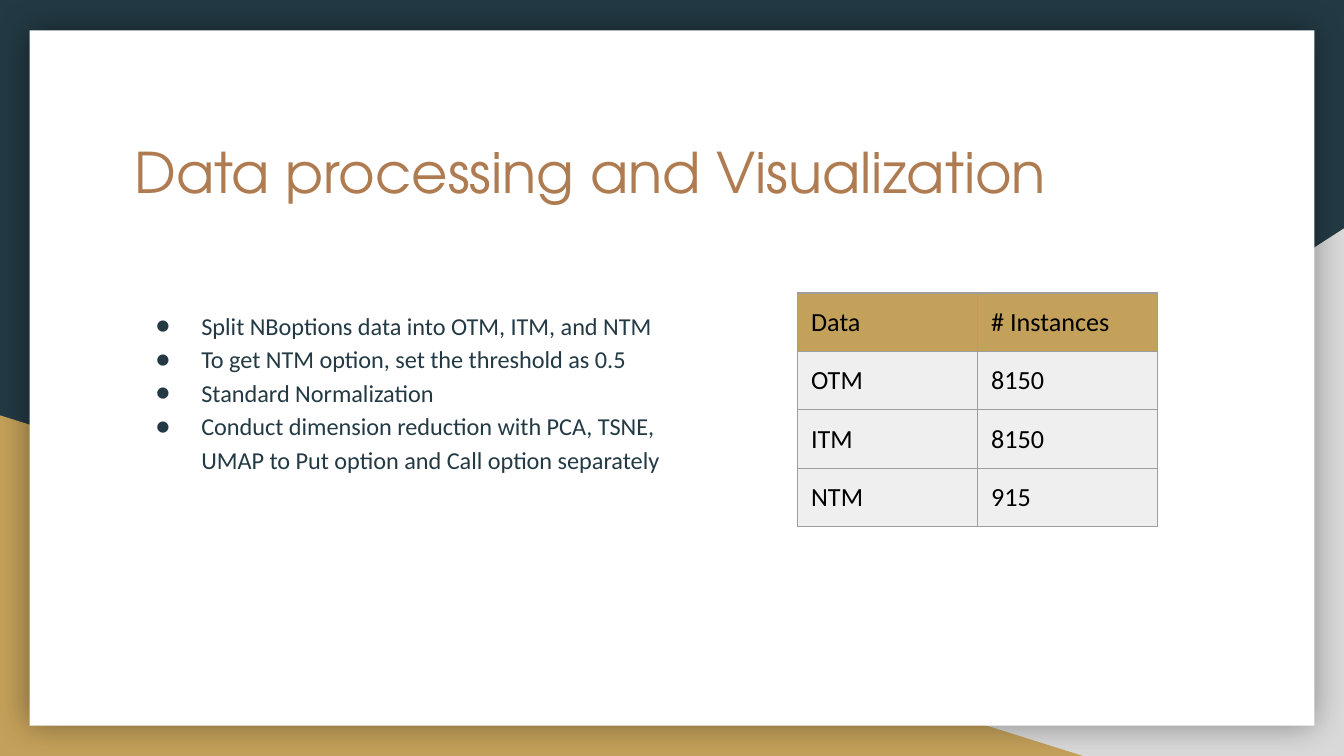
from dataclasses import dataclass

from lxml.etree import SubElement as Sub
from pptx import Presentation
from pptx.dml.color import RGBColor as Rgb
from pptx.enum.shapes import MSO_SHAPE as Kind
from pptx.enum.text import MSO_ANCHOR as Anchor, MSO_AUTO_SIZE as Fit, PP_ALIGN as Align
from pptx.oxml.ns import qn
from pptx.util import Inches, Pt


@dataclass(frozen=True)
class Theme:
    navy: str = "233A44"
    gold: str = "C4A15A"
    grey: str = "D9D9D9"
    white: str = "FFFFFF"
    black: str = "000000"
    brown: str = "AF7B51"
    pale: str = "EFEFEF"
    rule: str = "9E9E9E"
    head: str = "TeX Gyre Adventor"
    body: str = "Calibri"
    title: int = 30
    list: int = 13
    cell: int = 14


@dataclass(frozen=True)
class Box:
    col: float
    row: float
    cols: float
    rows: float

    def place(self) -> tuple:
        return tuple(unit(n) for n in (self.col, self.row, self.cols, self.rows))


@dataclass(frozen=True)
class Panel:
    kind: Kind
    box: Box
    fill: str
    flip: bool = False
    glow: bool = False


COLS, ROWS = 100, 56.25
THEME = Theme()

PANELS = (
    Panel(Kind.RIGHT_TRIANGLE, Box(39.2, 17, 60.8, 39.25), THEME.grey, flip=True),
    Panel(Kind.RIGHT_TRIANGLE, Box(0, 30.9, 80.6, 25.35), THEME.gold),
    Panel(Kind.RECTANGLE, Box(2.2, 2.25, 95.6, 51.75), THEME.white, glow=True),
)
TITLE = Box(9, 9.25, 82.1, 10.4)
LIST = Box(9, 21.8, 42.7, 26.8)
GRID = Box(59.35, 21.8, 26.8, 17.4)

POINTS = (
    "Split NBoptions data into OTM, ITM, and NTM",
    "To get NTM option, set the threshold as 0.5",
    "Standard Normalization",
    "Conduct dimension reduction with PCA, TSNE, UMAP to Put option and Call option separately",
)
COUNTS = (("Data", "# Instances"), ("OTM", "8150"), ("ITM", "8150"), ("NTM", "915"))


def unit(n: float) -> int:
    return Inches(n / 10)


def tint(node, color: str):
    fill = Sub(node, qn("a:solidFill"))
    return Sub(fill, qn("a:srgbClr"), val=color)


def pad(item) -> None:
    item.margin_left = item.margin_right = unit(1)
    item.margin_top = item.margin_bottom = unit(1)


def style(frame, face: str, size: int, color: str) -> None:
    for para in frame.paragraphs:
        para.alignment = Align.LEFT
        for run in para.runs:
            run.font.name = face
            run.font.size = Pt(size)
            run.font.bold = False
            run.font.color.rgb = Rgb.from_string(color)


def draw_panel(slide, panel: Panel) -> None:
    shape = slide.shapes.add_shape(panel.kind, *panel.box.place())
    shape.shadow.inherit = False
    shape.fill.solid()
    shape.fill.fore_color.rgb = Rgb.from_string(panel.fill)
    shape.line.fill.background()
    props = shape.element.spPr
    if panel.flip:
        props.find(qn("a:xfrm")).set("flipH", "1")
    if panel.glow:
        glow = Sub(props.find(qn("a:effectLst")), qn("a:outerShdw"),
                   blurRad=str(Pt(18)), dist="0", dir="0", algn="ctr", rotWithShape="0")
        shade = Sub(glow, qn("a:srgbClr"), val=THEME.black)
        Sub(shade, qn("a:alpha"), val="40000")


def draw_title(slide, box: Box, text: str) -> None:
    title = slide.shapes.title
    title.left, title.top, title.width, title.height = box.place()
    frame = title.text_frame
    frame.text = text
    frame.word_wrap = True
    frame.auto_size = Fit.NONE
    frame.vertical_anchor = Anchor.TOP
    pad(frame)
    style(frame, THEME.head, THEME.title, THEME.brown)
    slide.shapes.element.append(title.element)


def draw_list(slide, box: Box, points: tuple) -> None:
    frame = slide.shapes.add_textbox(*box.place()).text_frame
    frame.word_wrap = True
    pad(frame)
    frame.text = "\n".join(points)
    style(frame, THEME.body, THEME.list, THEME.navy)
    for para in frame.paragraphs:
        para.line_spacing = 1.15
        props = para._p.get_or_add_pPr()
        props.set("marL", str(unit(5)))
        props.set("indent", str(-unit(3.4)))
        Sub(Sub(props, qn("a:buClr")), qn("a:srgbClr"), val=THEME.navy)
        Sub(props, qn("a:buSzPts"), val=str(THEME.list * 100))
        Sub(props, qn("a:buFont"), typeface=THEME.body)
        Sub(props, qn("a:buChar"), char="●")


def draw_edges(cell) -> None:
    props = cell._tc.get_or_add_tcPr()
    for side in ("L", "R", "T", "B"):
        tint(Sub(props, qn(f"a:ln{side}"), w=str(Pt(0.75))), THEME.rule)


def draw_table(slide, box: Box, rows: tuple) -> None:
    table = slide.shapes.add_table(len(rows), len(rows[0]), *box.place()).table
    table.first_row = table.horz_banding = False
    for r, row in enumerate(rows):
        for c, text in enumerate(row):
            cell = table.cell(r, c)
            cell.text_frame.text = text
            pad(cell)
            style(cell.text_frame, THEME.body, THEME.cell, THEME.black)
            draw_edges(cell)
            cell.fill.solid()
            cell.fill.fore_color.rgb = Rgb.from_string(THEME.pale if r else THEME.gold)


def main() -> None:
    deck = Presentation()
    deck.slide_width, deck.slide_height = unit(COLS), unit(ROWS)
    slide = deck.slides.add_slide(deck.slide_layouts.get_by_name("Title Only"))
    slide.background.fill.solid()
    slide.background.fill.fore_color.rgb = Rgb.from_string(THEME.navy)
    for panel in PANELS:
        draw_panel(slide, panel)
    draw_title(slide, TITLE, "Data processing and Visualization")
    draw_list(slide, LIST, POINTS)
    draw_table(slide, GRID, COUNTS)
    deck.save("out.pptx")


if __name__ == "__main__":
    main()
